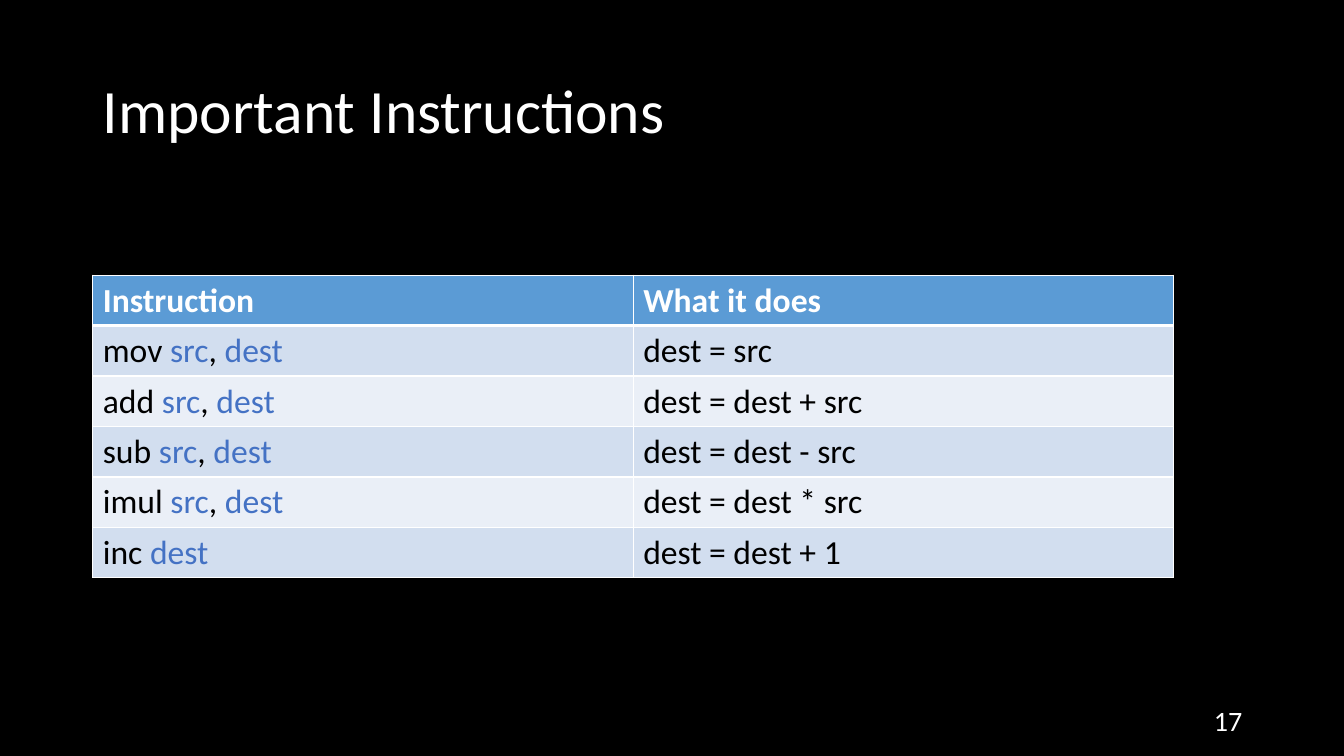
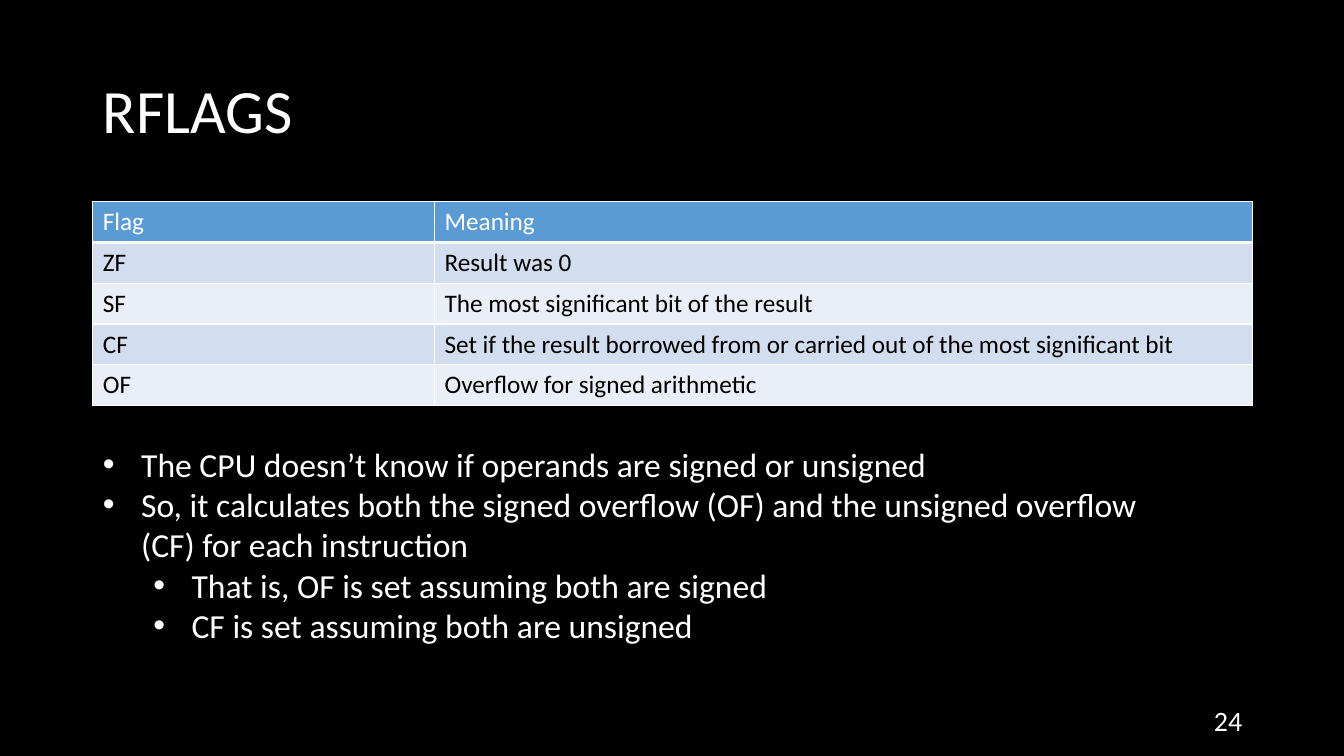
from lxml.etree import SubElement
from pptx import Presentation
from pptx.dml.color import RGBColor
from pptx.enum.text import MSO_ANCHOR, MSO_AUTO_SIZE, PP_ALIGN
from pptx.oxml.ns import qn
from pptx.util import Inches, Pt

# Shared look
BLACK = RGBColor(0x00, 0x00, 0x00)
WHITE = RGBColor(0xFF, 0xFF, 0xFF)
HEADER_BLUE = RGBColor(0x5B, 0x9B, 0xD5)
BANDS = (RGBColor(0xD2, 0xDE, 0xEF), RGBColor(0xEA, 0xEF, 0xF7))
OPERAND_BLUE = RGBColor(0x44, 0x72, 0xC4)
FONT = "Calibri"
SLIDE_WIDTH, SLIDE_HEIGHT = 13.33, 7.5
MARGIN = 0.92
CONTENT_WIDTH = 11.5
TITLE_ONLY, TITLE_AND_CONTENT = 5, 1

# Content
INSTRUCTIONS = [
    ("mov", ("src", "dest"), "dest = src"),
    ("add", ("src", "dest"), "dest = dest + src"),
    ("sub", ("src", "dest"), "dest = dest - src"),
    ("imul", ("src", "dest"), "dest = dest * src"),
    ("inc", ("dest",), "dest = dest + 1"),
]
FLAGS = [
    ("Flag", "Meaning"),
    ("ZF", "Result was 0"),
    ("SF", "The most significant bit of the result"),
    ("CF", "Set if the result borrowed from or carried out of the most significant bit"),
    ("OF", "Overflow for signed arithmetic"),
]
OVERFLOW_NOTES = [
    (0, "The CPU doesn’t know if operands are signed or unsigned"),
    (0, "So, it calculates both the signed overflow (OF) and the unsigned overflow (CF) "
        "for each instruction"),
    (1, "That is, OF is set assuming both are signed"),
    (1, "CF is set assuming both are unsigned"),
]


def write(paragraph, text, size, color=WHITE, bold=False, align=PP_ALIGN.LEFT, spacing=1.0):
    """Fill a paragraph with a string, or with (string, colour) runs."""
    paragraph.alignment = align
    paragraph.line_spacing = spacing
    paragraph.space_before = Pt(0)
    runs = [(text, color)] if isinstance(text, str) else text
    for words, run_color in runs:
        run = paragraph.add_run()
        run.text = words
        run.font.name = FONT
        run.font.size = Pt(size)
        run.font.bold = bold
        run.font.color.rgb = run_color


def place(shape, left, top, width, height):
    shape.left, shape.top = Inches(left), Inches(top)
    shape.width, shape.height = Inches(width), Inches(height)


def start_slide(prs, layout, title, number):
    slide = prs.slides.add_slide(prs.slide_layouts[layout])
    heading = slide.shapes.title
    place(heading, MARGIN, 0.4, CONTENT_WIDTH, 1.45)
    heading.text_frame.vertical_anchor = MSO_ANCHOR.MIDDLE
    write(heading.text_frame.paragraphs[0], title, 44, spacing=0.9)

    number_width = 3
    page = slide.shapes.add_textbox(Inches(MARGIN + CONTENT_WIDTH - number_width),
                                    Inches(6.95), Inches(number_width), Inches(0.4))
    page.text_frame.word_wrap = True
    page.text_frame.vertical_anchor = MSO_ANCHOR.MIDDLE
    write(page.text_frame.paragraphs[0], str(number), 20, align=PP_ALIGN.RIGHT)
    return slide


def set_borders(cell, **widths):
    properties = cell._tc.get_or_add_tcPr()
    for side in "LRTB":
        line = SubElement(properties, qn(f"a:ln{side}"), w=str(Pt(widths.get(side, 1))))
        fill = SubElement(line, qn("a:solidFill"))
        SubElement(fill, qn("a:srgbClr"), val=str(WHITE))


def add_banded_table(slide, rows, top, column_widths, row_height, size, bold_header=False):
    table = slide.shapes.add_table(
        len(rows), len(column_widths), Inches(MARGIN), Inches(top),
        Inches(sum(column_widths)), Inches(row_height * len(rows))).table
    table.first_row = table.horz_banding = False
    for column, width in zip(table.columns, column_widths):
        column.width = Inches(width)
    for r, row in enumerate(rows):
        header = r == 0
        for c, text in enumerate(row):
            cell = table.cell(r, c)
            set_borders(cell, T=3 if r == 1 else 1, B=3 if header else 1)
            cell.fill.solid()
            cell.fill.fore_color.rgb = HEADER_BLUE if header else BANDS[(r - 1) % 2]
            write(cell.text_frame.paragraphs[0], text, size,
                  color=WHITE if header else BLACK, bold=header and bold_header)


def add_bullets(body, items, size):
    frame = body.text_frame
    frame.auto_size = MSO_AUTO_SIZE.NONE
    for i, (level, text) in enumerate(items):
        paragraph = frame.add_paragraph() if i else frame.paragraphs[0]
        paragraph.level = level
        properties = paragraph._p.get_or_add_pPr()
        properties.set("marL", str(Inches(0.38 + 0.5 * level)))
        properties.set("indent", str(Inches(-0.38)))
        SubElement(properties, qn("a:buFont"), typeface="Arial")
        SubElement(properties, qn("a:buChar"), char="•")
        write(paragraph, text, size)


def instruction_runs(name, operands):
    runs = [(name + " ", BLACK)]
    for i, operand in enumerate(operands):
        if i:
            runs.append((", ", BLACK))
        runs.append((operand, OPERAND_BLUE))
    return runs


def main():
    prs = Presentation()
    prs.slide_width, prs.slide_height = Inches(SLIDE_WIDTH), Inches(SLIDE_HEIGHT)
    background = prs.slide_master.background.fill
    background.solid()
    background.fore_color.rgb = BLACK

    # Instruction table
    slide = start_slide(prs, TITLE_ONLY, "Important Instructions", 17)
    rows = [("Instruction", "What it does")]
    rows += [(instruction_runs(name, operands), effect)
             for name, operands, effect in INSTRUCTIONS]
    add_banded_table(slide, rows, 2.73, (5.36, 5.36), 0.5, 24, bold_header=True)

    # Flag table and overflow notes
    slide = start_slide(prs, TITLE_AND_CONTENT, "RFLAGS", 24)
    add_banded_table(slide, FLAGS, 2, (3.39, 8.11), 0.405, 18)
    notes = slide.placeholders[1]
    place(notes, MARGIN, 4.35, 10.86, 2.12)
    add_bullets(notes, OVERFLOW_NOTES, 24)

    prs.save("out.pptx")


if __name__ == "__main__":
    main()
